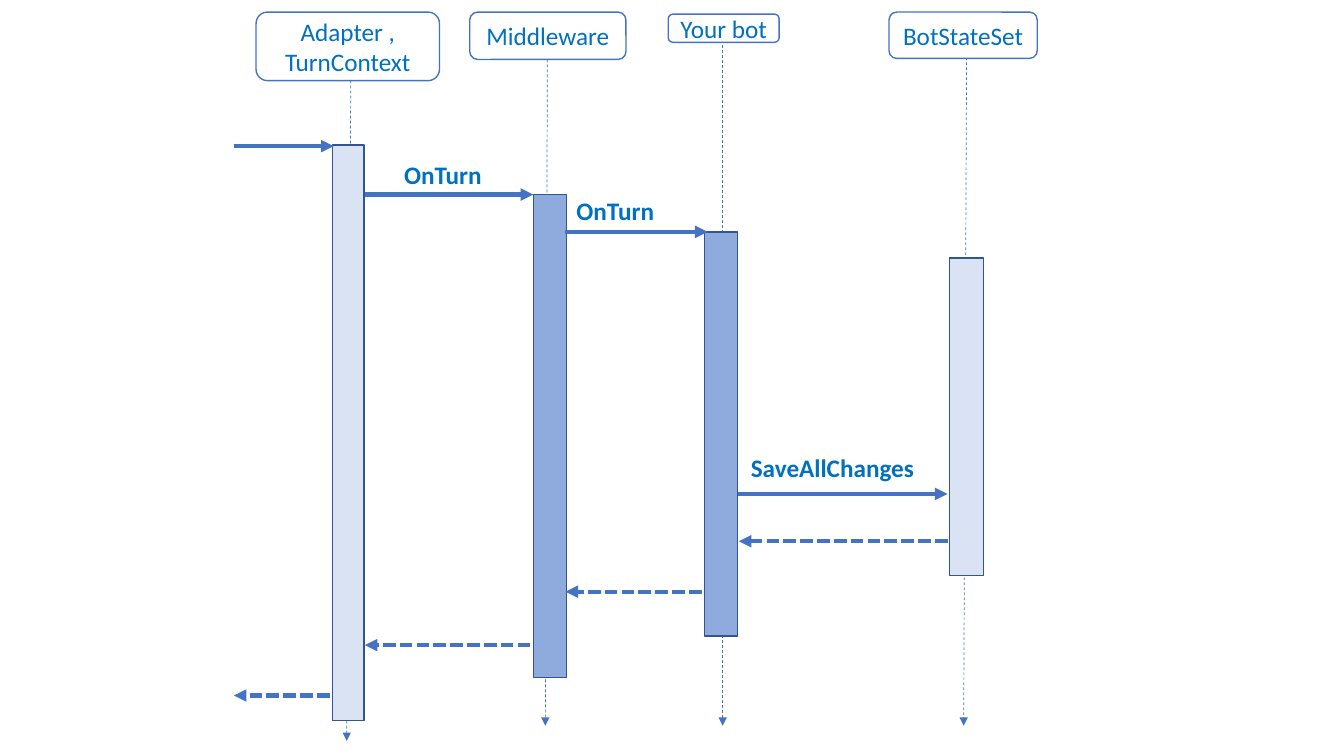
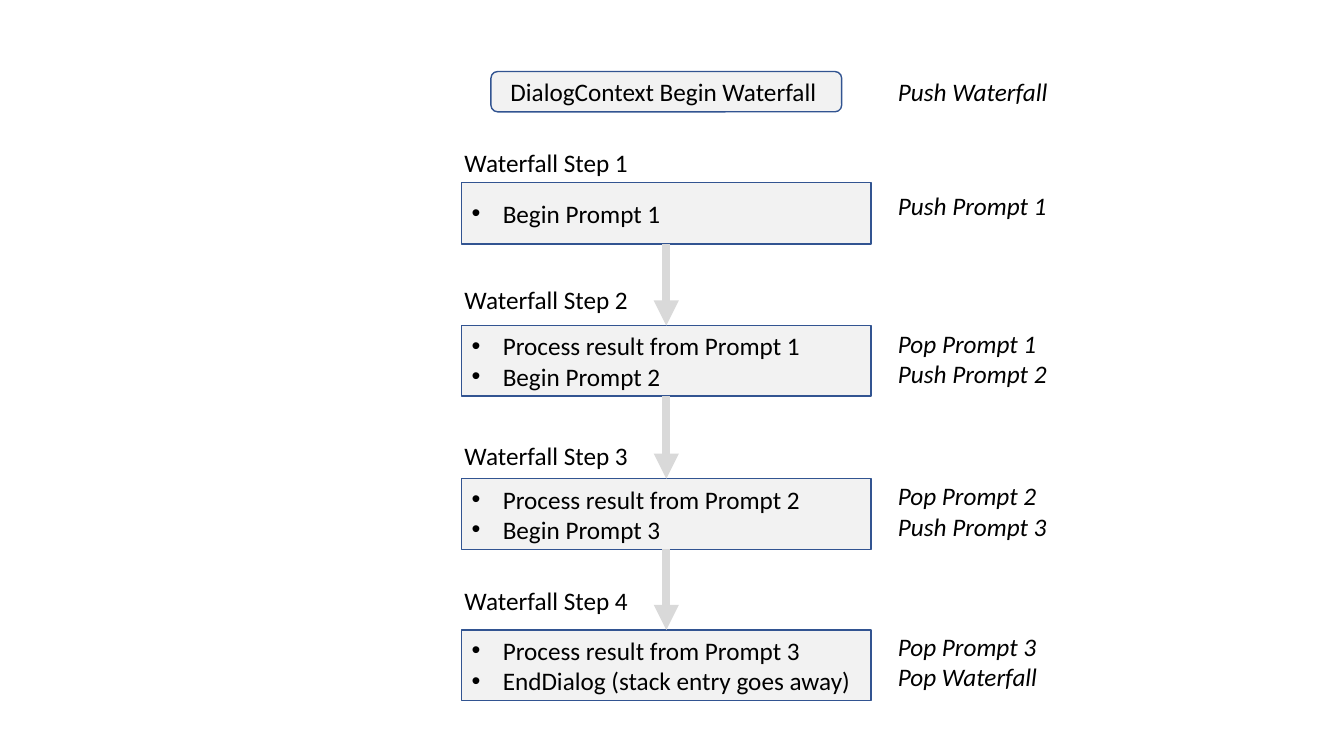
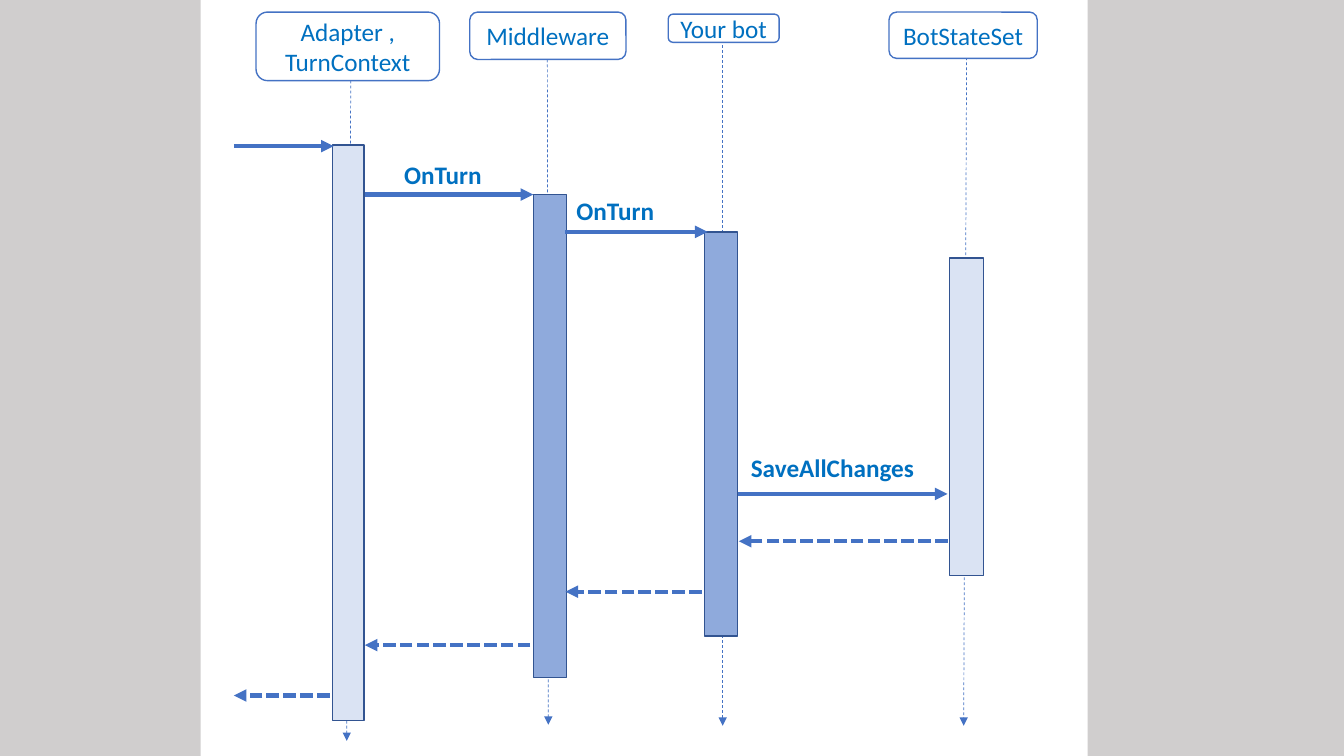
"""Build two bot turn sequence diagrams and a waterfall dialog flow."""
from dataclasses import dataclass

from lxml import etree
from pptx import Presentation
from pptx.dml.color import RGBColor
from pptx.enum.dml import MSO_LINE
from pptx.enum.shapes import MSO_CONNECTOR, MSO_SHAPE
from pptx.enum.text import MSO_ANCHOR, MSO_AUTO_SIZE, PP_ALIGN
from pptx.oxml.ns import qn
from pptx.shapes.autoshape import Shape
from pptx.shapes.shapetree import GroupShapes, SlideShapes
from pptx.util import Inches, Length, Pt

RECTANGLE, ROUNDED = MSO_SHAPE.RECTANGLE, MSO_SHAPE.ROUNDED_RECTANGLE
STRAIGHT = MSO_CONNECTOR.STRAIGHT
DASH, SHORT_DASH = MSO_LINE.DASH, MSO_LINE.SQUARE_DOT
LEFT, CENTER = PP_ALIGN.LEFT, PP_ALIGN.CENTER
TOP, MIDDLE = MSO_ANCHOR.TOP, MSO_ANCHOR.MIDDLE
GROW = MSO_AUTO_SIZE.SHAPE_TO_FIT_TEXT

COLUMNS, ROWS = 133.33, 75
BLANK_LAYOUT = 6
FONT, FONT_SIZE = "Calibri", 18
LABEL_HEIGHT = 4
BULLET_INDENT = 3.1
COLORS = {
    "white": "FFFFFF",
    "backdrop": "D0CECE",
    "accent": "4472C4",
    "outline": "325491",
    "light_bar": "DAE3F3",
    "strong_bar": "8FAADC",
    "caption": "0070C0",
    "step": "F2F2F2",
    "flow": "D9D9D9",
    "text": "000000",
}

Shapes = SlideShapes | GroupShapes
Point = tuple[float, float]
Area = tuple[float, float, float, float]


@dataclass(frozen=True)
class Participant:
    """A named head with its lifeline and activation bar."""

    title: str
    head: Area
    head_fill: str | None
    lifeline: tuple[Point, Point]
    bar: Area
    bar_fill: str


@dataclass(frozen=True)
class Message:
    """A horizontal call or reply, with its caption and caption area."""

    row: float
    start: float
    end: float
    reply: bool = False
    caption: str = ""
    caption_area: Area = (0, 0, 0, 0)


@dataclass(frozen=True)
class Step:
    """A waterfall step with its actions and stack operations."""

    top: float
    height: float
    label_top: float
    actions: str
    note_top: float
    note_width: float
    note: str


PARTICIPANTS = (
    Participant("BotStateSet", (88.2, 1.2, 14.7, 4.6), "white",
                ((95.9, 4.2), (95.6, 72)), (94.2, 25.6, 3.4, 31.5), "light_bar"),
    Participant("Middleware", (46.6, 1.2, 15.5, 4.7), None,
                ((54.3, 5.9), (54.1, 72)), (52.9, 19.3, 3.3, 47.9), "strong_bar"),
    Participant("Your bot", (66.3, 1.4, 11, 2.8), "white",
                ((71.7, 3.5), (71.7, 72)), (69.9, 23, 3.3, 40.1), "strong_bar"),
    Participant("Adapter ,\nTurnContext", (25.4, 1.2, 18.2, 6.8), None,
                ((34.8, 8), (34.4, 73.5)), (33, 14.4, 3.1, 57.1), "light_bar"),
)
MESSAGES = (
    Message(14.5, 23.2, 33.1),
    Message(19.3, 36.2, 52.9, caption="OnTurn", caption_area=(39.1, 15.3, 10.6, LABEL_HEIGHT)),
    Message(23, 56.1, 70.2, caption="OnTurn", caption_area=(56.2, 18.9, 10.6, LABEL_HEIGHT)),
    Message(49, 73.2, 94, caption="SaveAllChanges",
            caption_area=(73.5, 44.4, 19.2, LABEL_HEIGHT)),
    Message(53.7, 94, 73.3, reply=True),
    Message(58.7, 69.6, 56.1, reply=True),
    Message(64, 52.6, 36.2, reply=True),
    Message(69, 32.7, 23.2, reply=True),
)
STEPS = (
    Step(18.1, 6.1, 14.1, "Begin Prompt 1", 18.4, 17, "Push Prompt 1"),
    Step(32.3, 7, 27.7, "Process result from Prompt 1\nBegin Prompt 2",
         32.1, 16.9, "Pop Prompt 1\nPush Prompt 2"),
    Step(47.5, 7, 43.2, "Process result from Prompt 2\nBegin Prompt 3",
         47.2, 17, "Pop Prompt 2\nPush Prompt 3"),
    Step(62.5, 7, 57.6, "Process result from Prompt 3\nEndDialog (stack entry goes away)",
         62.1, 16, "Pop Prompt 3\nPop Waterfall"),
)
STEP_LEFT, STEP_WIDTH = 45.8, 40.6
STEP_CENTER = STEP_LEFT + STEP_WIDTH / 2
STEP_LABEL_LEFT, STEP_LABEL_WIDTH = 45.1, 18.4
NOTE_LEFT, TWO_LINE_HEIGHT = 88.1, 7.1


def cells(count: float) -> Length:
    """Convert grid cells to a length."""
    return Inches(count / 10)


def rgb(color: str) -> RGBColor:
    """Look up a named colour."""
    return RGBColor.from_string(COLORS[color])


def write(shape: Shape, text: str, *, color: str = "text", bold: bool = False,
          italic: bool = False, align: PP_ALIGN = LEFT, anchor: MSO_ANCHOR = TOP,
          wrap: bool = True, bulleted: bool = False) -> None:
    """Fill a shape with formatted paragraphs, one per line of text."""
    frame = shape.text_frame
    frame.text = text
    frame.word_wrap = wrap
    frame.vertical_anchor = anchor
    for paragraph in frame.paragraphs:
        paragraph.alignment = align
        for run in paragraph.runs:
            font = run.font
            font.name, font.size = FONT, Pt(FONT_SIZE)
            font.bold, font.italic = bold, italic
            font.color.rgb = rgb(color)
        if bulleted:
            properties = paragraph._p.get_or_add_pPr()
            properties.set("marL", str(cells(BULLET_INDENT)))
            properties.set("indent", str(-cells(BULLET_INDENT)))
            etree.SubElement(properties, qn("a:buFont"), typeface="Arial")
            etree.SubElement(properties, qn("a:buChar"), char="•")


def add_box(shapes: Shapes, preset: MSO_SHAPE, area: Area, *,
            fill: str | None, outline: str | None) -> Shape:
    """Add a flat preset shape on the grid."""
    box = shapes.add_shape(preset, *map(cells, area))
    box.shadow.inherit = False
    if fill:
        box.fill.solid()
        box.fill.fore_color.rgb = rgb(fill)
    else:
        box.fill.background()
    if outline:
        box.line.color.rgb = rgb(outline)
        box.line.width = Pt(1)
    else:
        box.line.fill.background()
    return box


def add_label(shapes: Shapes, area: Area, text: str, *, color: str = "text",
              bold: bool = False, italic: bool = False, wrap: bool = False) -> None:
    """Add a text box that grows with its text."""
    label = shapes.add_textbox(*map(cells, area))
    write(label, text, color=color, bold=bold, italic=italic, wrap=wrap)
    label.text_frame.auto_size = GROW


def add_arrow(shapes: Shapes, start: Point, end: Point, *, color: str = "accent",
              width: float = 3, dash: MSO_LINE | None = None) -> None:
    """Add a straight arrow with a triangular tip."""
    arrow = shapes.add_connector(STRAIGHT, *map(cells, (*start, *end)))
    arrow.line.color.rgb = rgb(color)
    arrow.line.width = Pt(width)
    if dash is not None:
        arrow.line.dash_style = dash
    etree.SubElement(arrow.line._get_or_add_ln(), qn("a:tailEnd"), type="triangle")
    etree.SubElement(arrow._element.spPr, qn("a:effectLst"))


def add_participant(shapes: Shapes, participant: Participant, lifeline_end: Point) -> None:
    """Draw a participant's lifeline, head and activation bar."""
    add_arrow(shapes, participant.lifeline[0], lifeline_end, width=0.5, dash=DASH)
    head = add_box(shapes, ROUNDED, participant.head,
                   fill=participant.head_fill, outline="accent")
    write(head, participant.title, color="caption", align=CENTER, anchor=MIDDLE)
    add_box(shapes, RECTANGLE, participant.bar, fill=participant.bar_fill, outline="outline")


def add_message(shapes: Shapes, message: Message) -> None:
    """Draw a message arrow and its caption."""
    add_arrow(shapes, (message.start, message.row), (message.end, message.row),
              dash=SHORT_DASH if message.reply else None)
    if message.caption:
        add_label(shapes, message.caption_area, message.caption,
                  color="caption", bold=True, wrap=True)


def draw_sequence(shapes: Shapes, lifeline_ends: dict[str, Point]) -> None:
    """Draw the turn sequence, with lifeline ends overridden by title."""
    for participant in PARTICIPANTS:
        end = lifeline_ends.get(participant.title, participant.lifeline[1])
        add_participant(shapes, participant, end)
    for message in MESSAGES:
        add_message(shapes, message)


def draw_waterfall(shapes: Shapes) -> None:
    """Draw the waterfall steps with their stack operations."""
    begin = add_box(shapes, ROUNDED, (48.7, 7.1, 34.8, LABEL_HEIGHT),
                    fill="step", outline="outline")
    write(begin, "DialogContext Begin Waterfall ", align=CENTER, anchor=MIDDLE)
    add_label(shapes, (NOTE_LEFT, 7.1, 16.9, LABEL_HEIGHT), "Push Waterfall", italic=True)
    for number, step in enumerate(STEPS, start=1):
        box = add_box(shapes, RECTANGLE, (STEP_LEFT, step.top, STEP_WIDTH, step.height),
                      fill="step", outline="outline")
        write(box, step.actions, anchor=MIDDLE, bulleted=True)
        add_label(shapes, (STEP_LABEL_LEFT, step.label_top, STEP_LABEL_WIDTH, LABEL_HEIGHT),
                  f"Waterfall Step {number}")
        note_height = TWO_LINE_HEIGHT if "\n" in step.note else LABEL_HEIGHT
        add_label(shapes, (NOTE_LEFT, step.note_top, step.note_width, note_height),
                  step.note, italic=True)
    for step, following in zip(STEPS, STEPS[1:]):
        add_arrow(shapes, (STEP_CENTER, step.top + step.height),
                  (STEP_CENTER, following.top), color="flow", width=6)


def main() -> None:
    """Build and save the presentation."""
    deck = Presentation()
    deck.slide_width, deck.slide_height = cells(COLUMNS), cells(ROWS)
    slides = []
    for backdrop in ("white", "white", "backdrop"):
        slide = deck.slides.add_slide(deck.slide_layouts[BLANK_LAYOUT])
        slide.background.fill.solid()
        slide.background.fill.fore_color.rgb = rgb(backdrop)
        slides.append(slide)
    sequence, waterfall, framed_sequence = slides

    draw_sequence(sequence.shapes, {})
    draw_waterfall(waterfall.shapes)
    panel = framed_sequence.shapes.add_group_shape().shapes
    add_box(panel, RECTANGLE, (19.9, 0, 88, ROWS), fill="white", outline=None)
    draw_sequence(panel, {"Middleware": (54.4, 71.9)})
    deck.save("out.pptx")


if __name__ == "__main__":
    main()
